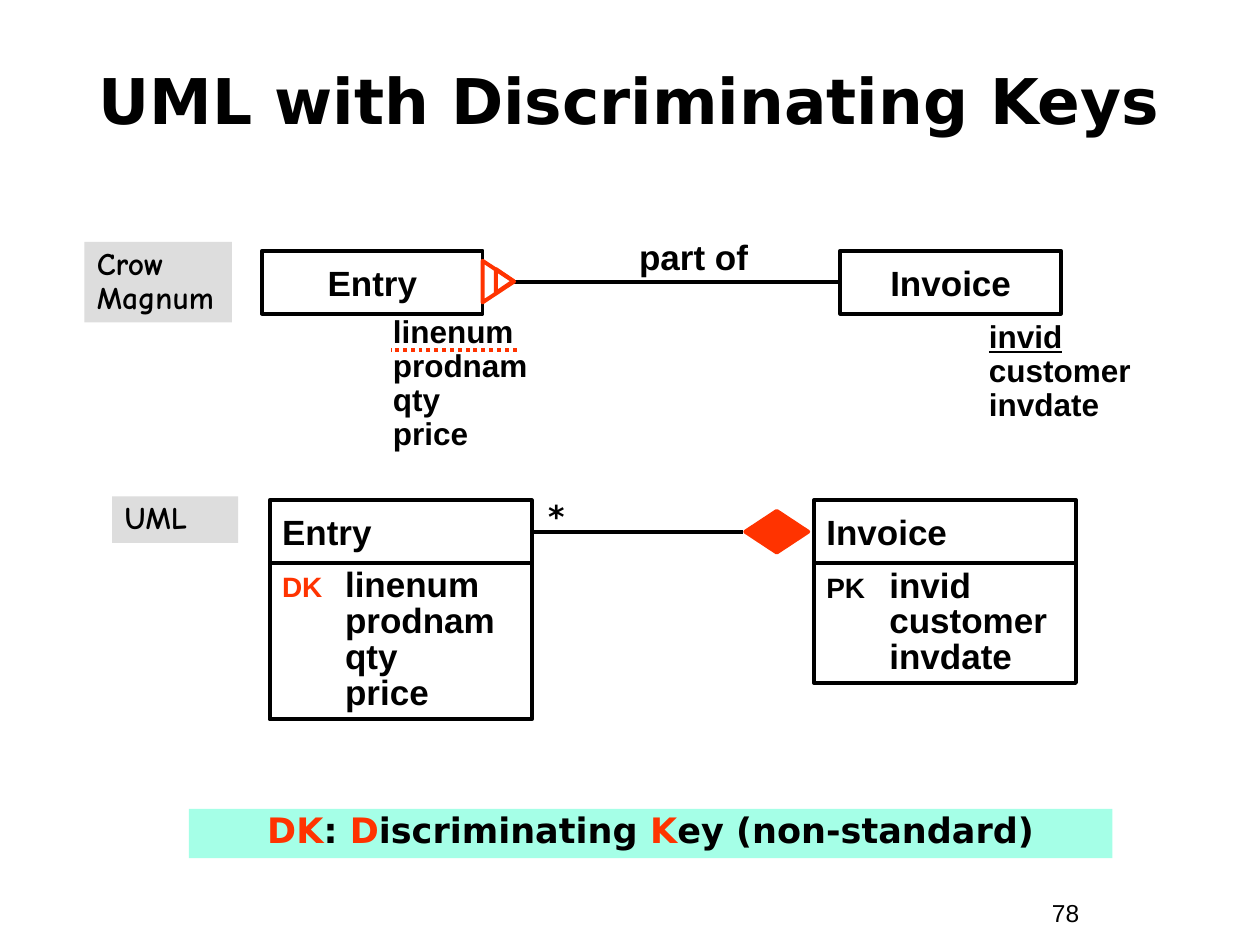
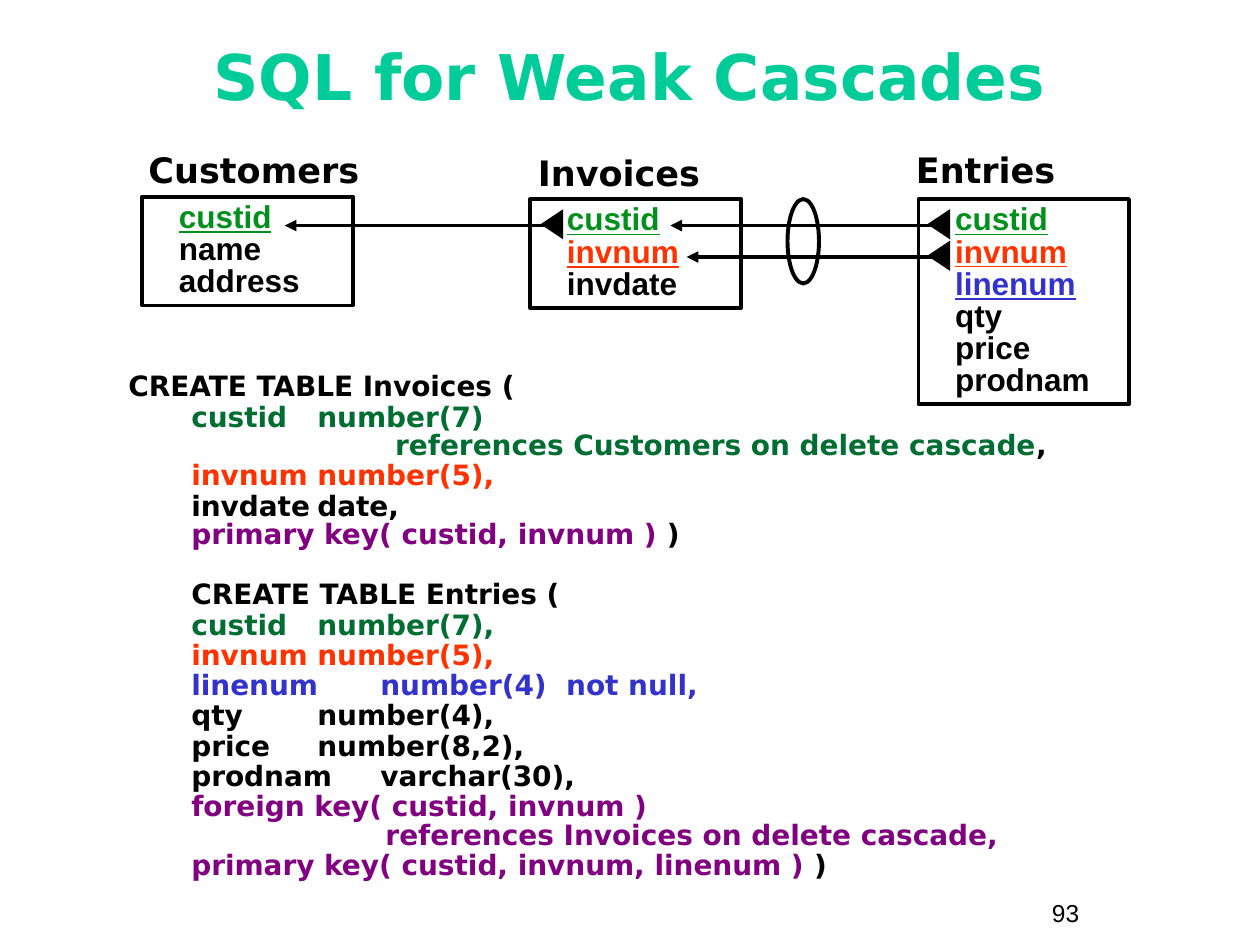
from dataclasses import dataclass
from typing import NamedTuple, Optional

from lxml import etree
from pptx import Presentation
from pptx.dml.color import RGBColor
from pptx.enum.dml import MSO_LINE
from pptx.enum.shapes import MSO_CONNECTOR, MSO_SHAPE
from pptx.enum.text import MSO_ANCHOR, MSO_AUTO_SIZE, PP_ALIGN
from pptx.oxml.ns import qn
from pptx.util import Inches, Pt

RECT, OVAL = MSO_SHAPE.RECTANGLE, MSO_SHAPE.OVAL
WEDGE, GEM = MSO_SHAPE.ISOSCELES_TRIANGLE, MSO_SHAPE.FLOWCHART_SORT
TOP, MID = MSO_ANCHOR.TOP, MSO_ANCHOR.MIDDLE
LEFT, MIDST = PP_ALIGN.LEFT, PP_ALIGN.CENTER
DOTS = MSO_LINE.ROUND_DOT
STRAIGHT = MSO_CONNECTOR.STRAIGHT
WEST, EAST = 1, 3


@dataclass(frozen=True)
class Theme:
    ink: str = "000000"
    red: str = "FF3300"
    mint: str = "00CC99"
    pale: str = "A5FFE7"
    grey: str = "DDDDDD"
    leaf: str = "00901B"
    pine: str = "006E32"
    blue: str = "3333CC"
    plum: str = "800080"
    sans: str = "Arial"
    wide: str = "DejaVu Sans"
    hand: str = "Comic Neue"
    head: float = 36
    big: float = 20
    mid: float = 18
    code: float = 16
    page: float = 14
    pen: float = 2.25


T = Theme()


class Bit(NamedTuple):
    """A stretch of text in one format."""
    text: str
    hue: str = T.ink
    under: bool = False
    size: Optional[float] = None


class Line(NamedTuple):
    """A paragraph: its bits, left indent and space before."""
    bits: list[Bit]
    dent: float = 0
    gap: float = 0


class Box(NamedTuple):
    left: float
    top: float
    width: float
    height: float


@dataclass(frozen=True)
class Style:
    size: float = T.big
    face: str = T.sans
    bold: bool = True
    align: PP_ALIGN = LEFT
    anchor: MSO_ANCHOR = TOP
    pitch: float = 1.0
    inset: float = 0.1
    tabs: tuple[float, ...] = ()


@dataclass(frozen=True)
class Card:
    """A table box with its caption."""
    name: str
    spot: tuple[float, float]
    box: tuple[float, float]
    rows: list[Line]


def apply(item, **values) -> None:
    for key, value in values.items():
        setattr(item, key, value)


def plain(*texts: str) -> list[Line]:
    return [Line([Bit(text)]) for text in texts]


def key(text: str, hue: str) -> Line:
    return Line([Bit(text, hue, True)])


# Text

def write(frame, lines: list[Line], style: Style) -> None:
    apply(frame, word_wrap=True, auto_size=MSO_AUTO_SIZE.NONE,
          vertical_anchor=style.anchor,
          margin_left=Inches(style.inset), margin_right=Inches(0.1),
          margin_top=Inches(0.05), margin_bottom=Inches(0.05))
    for num, line in enumerate(lines):
        para = frame.add_paragraph() if num else frame.paragraphs[0]
        props = para._p.get_or_add_pPr()
        if line.dent:
            props.set("marL", str(Inches(line.dent)))
            props.set("indent", "0")
        if style.tabs:
            stops = etree.SubElement(props, qn("a:tabLst"))
            for stop in style.tabs:
                etree.SubElement(stops, qn("a:tab"),
                                 pos=str(Inches(stop)), algn="l")
        apply(para, alignment=style.align, line_spacing=style.pitch,
              space_before=Pt(line.gap))
        for bit in line.bits:
            run = para.add_run()
            run.text = bit.text
            apply(run.font, name=style.face, bold=style.bold,
                  size=Pt(bit.size or style.size), underline=bit.under)
            run.font.color.rgb = RGBColor.from_string(bit.hue)


def label(slide, box: Box, lines: list[Line], style: Style) -> None:
    area = slide.shapes.add_textbox(*map(Inches, box))
    write(area.text_frame, lines, style)


# Shapes and lines

def draw(slide, kind, box: Box, fill: Optional[str] = None,
         edge: Optional[str] = T.ink, turn: float = 0,
         lines: Optional[list[Line]] = None, style: Style = Style()):
    shape = slide.shapes.add_shape(kind, *map(Inches, box))
    shape.shadow.inherit = False
    shape.rotation = turn
    for part, hue in ((shape.fill, fill), (shape.line.fill, edge)):
        if hue:
            part.solid()
            part.fore_color.rgb = RGBColor.from_string(hue)
        else:
            part.background()
    if edge:
        shape.line.width = Pt(T.pen)
    if lines:
        write(shape.text_frame, lines, style)
    return shape


def link(slide, start: float, end: float, y: float, hue: str = T.ink,
         dash=None, arrow: bool = False):
    wire = slide.shapes.add_connector(
        STRAIGHT, Inches(start), Inches(y), Inches(end), Inches(y))
    wire.line.color.rgb = RGBColor.from_string(hue)
    apply(wire.line, width=Pt(T.pen), dash_style=dash)
    if arrow:
        etree.SubElement(wire.line._get_or_add_ln(), qn("a:tailEnd"),
                         type="triangle")
    etree.SubElement(wire._element.spPr, qn("a:effectLst"))
    return wire


def start(deck, title: str, hue: str, top: float, page: str):
    """Add a slide with its title and page number."""
    slide = deck.slides.add_slide(deck.slide_layouts[5])
    head = slide.shapes.title
    apply(head, left=Inches(0.33), top=Inches(top),
          width=Inches(9.33), height=Inches(0.92))
    write(head.text_frame, [Line([Bit(title, hue)])],
          Style(T.head, T.wide, align=MIDST, anchor=MID))
    label(slide, Box(8.25, 7.08, 0.92, 0.34), plain(page),
          Style(T.page, bold=False))
    return slide


# Slide: discriminating keys

def keys(deck) -> None:
    slide = start(deck, "UML with Discriminating Keys", T.ink, 0.33, "78")
    tag = Style(T.mid, T.hand, pitch=0.9)
    for box, words in ((Box(0.67, 1.92, 1.17, 0.64), ("Crow", "Magnum")),
                       (Box(0.89, 3.94, 1, 0.37), ("UML",))):
        draw(slide, RECT, box, T.grey, None, lines=plain(*words), style=tag)

    # Crow Magnum row
    mid = Style(align=MIDST, anchor=MID)
    _, bill = [draw(slide, RECT, Box(left, 1.99, 1.75, 0.5),
                    lines=plain(name), style=mid)
               for left, name in ((2.08, "Entry"), (6.67, "Invoice"))]
    link(slide, 6.67, 4.08, 2.24).begin_connect(bill, WEST)
    label(slide, Box(4.92, 1.82, 1.17, 0.44), plain("part of"),
          Style(align=MIDST))
    link(slide, 4.1, 3.1, 2.78, T.red, DOTS)
    for box in (Box(3.79, 2.11, 0.33, 0.25), Box(3.91, 2.16, 0.19, 0.14)):
        draw(slide, WEDGE, box, edge=T.red, turn=90)
    field = Style(T.mid, pitch=0.9)
    label(slide, Box(7.75, 2.5, 1.42, 0.91),
          [key("invid", T.ink), *plain("customer", "invdate")], field)
    label(slide, Box(3.02, 2.46, 1.67, 1.18),
          plain("linenum", "prodnam", "qty", "price"), field)

    # UML row
    body = Style(pitch=0.85, tabs=(0.5, 1, 2, 3))
    heads = []
    for left, name, mark, hue, names in (
            (2.14, "Entry", "DK", T.red,
             ("linenum", "prodnam", "qty", "price")),
            (6.46, "Invoice", "PK", T.ink,
             ("invid", "customer", "invdate"))):
        heads.append(draw(slide, RECT, Box(left, 3.97, 2.08, 0.5),
                          lines=plain(name), style=Style(anchor=MID)))
        rows = plain(*(f"\t{text}" for text in names))
        rows[0].bits.insert(0, Bit(mark, hue, size=T.code))
        draw(slide, RECT, Box(left, 4.47, 2.08, 0.08 + 0.29 * len(rows)),
             lines=rows, style=body)
    link(slide, 4.22, 5.9, 4.22).begin_connect(heads[0], EAST)
    label(slide, Box(4, 3.93, 0.83, 0.37), plain("*"),
          Style(T.mid, T.wide, align=MIDST, pitch=0.9))
    draw(slide, GEM, Box(6, 3.97, 0.33, 0.5), T.red, T.red, 270)

    # Legend band
    note = Line([Bit("DK", T.red), Bit(": "), Bit("D", T.red),
                 Bit("iscriminating "), Bit("K", T.red),
                 Bit("ey (non-standard)")])
    draw(slide, RECT, Box(1.5, 6.42, 7.33, 0.39), T.pale, None,
         lines=[note], style=Style(face=T.wide, align=MIDST, pitch=0.85))


# Slide: weak cascades

CUST, INV = key("custid", T.leaf), key("invnum", T.red)
CARDS = (
    Card("Customers", (1.08, 1.13), (1.13, 1.56),
         [CUST, *plain("name", "address")]),
    Card("Invoices", (4.17, 1.15), (4.21, 1.58),
         [CUST, INV, *plain("invdate")]),
    Card("Entries", (7.17, 1.13), (7.29, 1.58),
         [CUST, INV, key("linenum", T.blue),
          *plain("qty", "price", "prodnam")]),
)


def code(text: str, hue: str = T.ink, end: str = "", gap: float = 1) -> Line:
    bits = [Bit(text, hue)] + ([Bit(end)] if end else [])
    return Line(bits, 0.5, gap)


CODE = [
    Line([Bit("CREATE TABLE Invoices (")]),
    code("custid\tnumber(7)", T.pine),
    code("                     references Customers on delete cascade",
         T.pine, ",", 0),
    code("invnum\tnumber(5),", T.red),
    code("invdate\tdate,"),
    code("primary key( custid, invnum )", T.plum, " )", 0),
    code("CREATE TABLE Entries (", gap=18),
    code("custid\tnumber(7),", T.pine),
    code("invnum\tnumber(5),", T.red),
    code("linenum\tnumber(4)  not null,", T.blue),
    code("qty\t\tnumber(4),"),
    code("price\tnumber(8,2),"),
    code("prodnam\tvarchar(30),"),
    code("foreign key( custid, invnum )", T.plum),
    code("                    references Invoices on delete cascade,",
         T.plum, gap=0),
    code("primary key( custid, invnum, linenum )", T.plum, " )"),
]


def weak(deck) -> None:
    slide = start(deck, "SQL for Weak Cascades", T.mint, 0.14, "93")
    for card in CARDS:
        label(slide, Box(*card.spot, 2.15, 0.44), plain(card.name),
              Style(face=T.wide))
        tall = 0.1 + 0.255 * len(card.rows)
        draw(slide, RECT, Box(*card.box, 1.67, tall), lines=card.rows,
             style=Style(T.mid, pitch=0.85, inset=0.29))

    # Key references
    for tail, tip, y in ((4.36, 2.26, 1.79), (7.5, 5.32, 1.79),
                         (7.5, 5.45, 2.04)):
        link(slide, tail, tip, y, arrow=True)
    draw(slide, OVAL, Box(6.25, 1.58, 0.25, 0.67))
    for left, top in ((4.26, 1.69), (7.33, 1.69), (7.33, 1.94)):
        draw(slide, WEDGE, Box(left, top, 0.24, 0.18), T.ink, None, 270)

    # Table code
    label(slide, Box(0.92, 2.92, 8.42, 4.13), CODE,
          Style(T.code, T.wide, pitch=0.85, tabs=tuple(range(1, 8))))


def main() -> None:
    deck = Presentation()
    apply(deck, slide_width=Inches(10), slide_height=Inches(7.5))
    keys(deck)
    weak(deck)
    deck.save("out.pptx")


if __name__ == "__main__":
    main()
